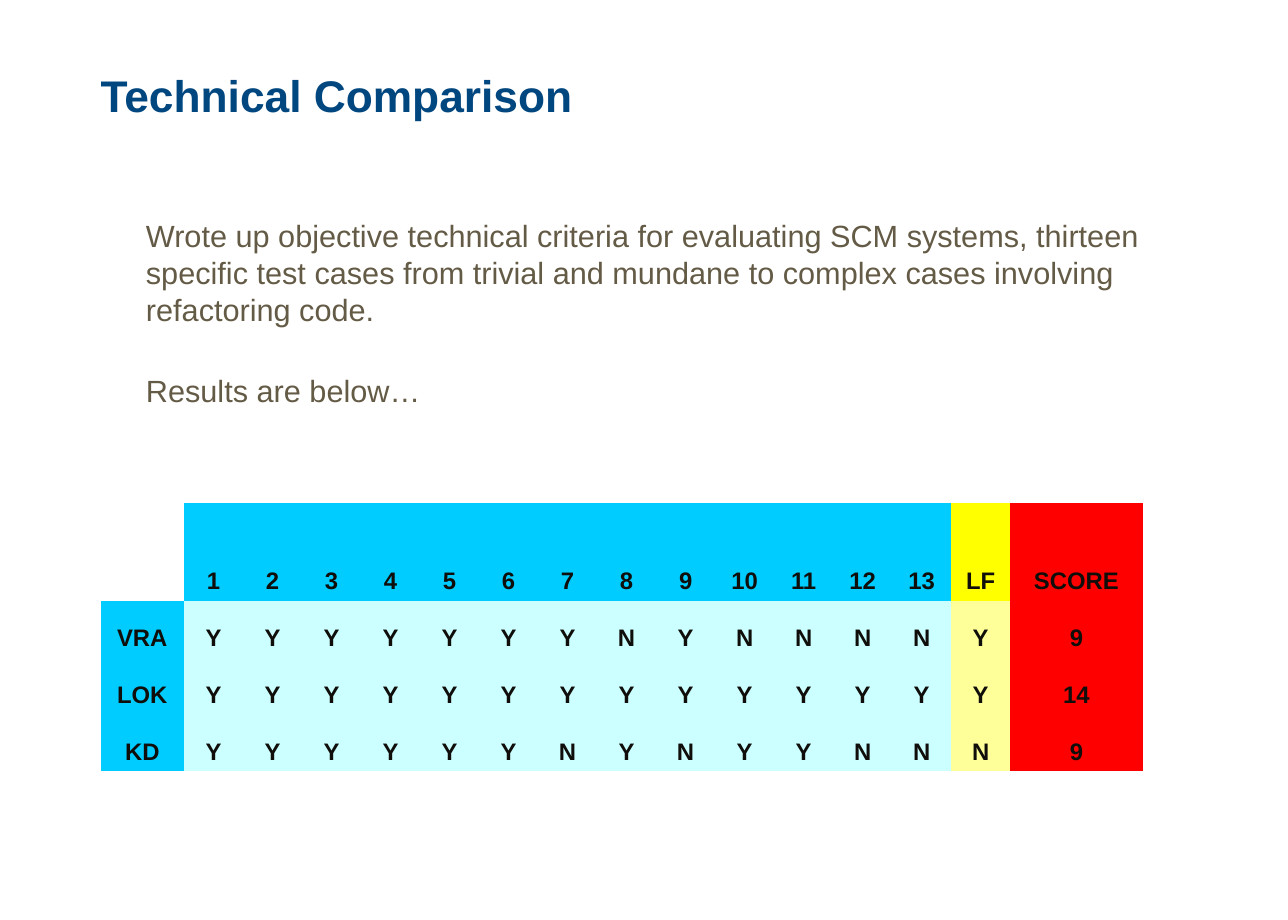
import dataclasses
import typing

import pptx
import pptx.dml.color
import pptx.enum.text
import pptx.util

Inches = pptx.util.Inches
Pt = pptx.util.Pt
RGBColor = pptx.dml.color.RGBColor
Align = pptx.enum.text.PP_ALIGN
Anchor = pptx.enum.text.MSO_ANCHOR

NAVY = RGBColor(0x00, 0x46, 0x7F)
BROWN = RGBColor(0x64, 0x5B, 0x46)
INK = RGBColor(0x0F, 0x0E, 0x0B)
CYAN = RGBColor(0x00, 0xCC, 0xFF)
PALE = RGBColor(0xCC, 0xFF, 0xFF)
YELLOW = RGBColor(0xFF, 0xFF, 0x00)
CREAM = RGBColor(0xFF, 0xFF, 0x99)
RED = RGBColor(0xFF, 0x00, 0x00)

LEFT, WIDTH = Inches(0.82), Inches(8.5)
PLAIN_STYLE = "{2D5ABB26-0587-4C30-8999-92F81FD0307C}"  # no fill, no grid


@dataclasses.dataclass
class Block:
    top: int
    width: int
    height: int
    lines: list[str]
    font: dict[str, typing.Any]
    para: dict[str, typing.Any]
    indent: int = 0
    inset: int = 0


@dataclasses.dataclass
class Tool:
    name: str
    marks: str  # one mark per test case, then the LF mark
    score: int


def apply(target: typing.Any, values: dict[str, typing.Any]) -> None:
    for name, value in values.items():
        setattr(target, name, value)


def write(para: typing.Any, text: str, font: dict, color: RGBColor) -> None:
    run = para.add_run()
    run.text = text
    apply(run.font, {"name": "Arial", **font})
    run.font.color.rgb = color


def draw_block(slide: typing.Any, block: Block, color: RGBColor) -> None:
    box = slide.shapes.add_textbox(LEFT, block.top, block.width, block.height)
    frame = box.text_frame
    apply(frame, {
        "word_wrap": True,
        "margin_left": block.indent, "margin_right": 0,
        "margin_top": block.inset, "margin_bottom": block.inset,
    })
    for index, line in enumerate(block.lines):
        para = frame.add_paragraph() if index else frame.paragraphs[0]
        apply(para, block.para)
        write(para, line, block.font, color)


def pick_fill(row: int, col: int, last: int) -> RGBColor:
    if col == last:
        return RED
    if col == last - 1:
        return CREAM if row else YELLOW
    return PALE if row and col else CYAN


def draw_table(slide: typing.Any, tools: list[Tool]) -> None:
    cases = [str(number) for number in range(1, 14)]
    grid = [["", *cases, "LF", "SCORE"]]
    grid += [[tool.name, *tool.marks, str(tool.score)] for tool in tools]
    last = len(grid[0]) - 1

    height, head = Inches(2.19), Inches(0.8)
    shape = slide.shapes.add_table(
        len(grid), last + 1, LEFT, Inches(4.1), WIDTH, height)
    shape.element.xpath(".//a:tableStyleId")[0].text = PLAIN_STYLE
    table = shape.table
    apply(table, {"first_row": False, "horz_banding": False})

    # The mark columns share what the name and score columns leave
    names, scores = Inches(0.68), Inches(1.08)
    marks = (WIDTH - names - scores) // (last - 1)
    for col, width in enumerate([names] + [marks] * (last - 1) + [scores]):
        table.columns[col].width = width

    for row, texts in enumerate(grid):
        table.rows[row].height = (height - head) // len(tools) if row else head
        for col, text in enumerate(texts):
            cell = table.cell(row, col)
            if not text:
                cell.fill.background()
                continue
            cell.fill.solid()
            cell.fill.fore_color.rgb = pick_fill(row, col, last)
            cell.vertical_anchor = Anchor.BOTTOM
            para = cell.text_frame.paragraphs[0]
            apply(para, {"alignment": Align.CENTER, "line_spacing": Pt(26)})
            write(para, text, {"size": Pt(14), "bold": True}, INK)


deck = pptx.Presentation()
apply(deck, {"slide_width": Inches(10.5), "slide_height": Inches(7.5)})
slide = deck.slides.add_slide(deck.slide_layouts[6])

# Title
title = Block(
    Inches(0.51), Inches(9.45), Inches(0.54), ["Technical Comparison"],
    {"size": Pt(26), "bold": True}, {}, inset=Inches(0.05))
draw_block(slide, title, NAVY)

# Summary
summary = Block(
    Inches(1.77), WIDTH, Inches(2.17),
    ["Wrote up objective technical criteria for evaluating SCM systems, "
     "thirteen specific test cases from trivial and mundane to complex "
     "cases involving refactoring code.",
     "Results are below…"],
    {"size": Pt(18)}, {"space_after": Pt(26)}, indent=Inches(0.37))
draw_block(slide, summary, BROWN)

# Results
draw_table(slide, [
    Tool("VRA", "YYYYYYYNYNNNNY", 9),
    Tool("LOK", "YYYYYYYYYYYYYY", 14),
    Tool("KD", "YYYYYYNYNYYNNN", 9),
])

deck.save("out.pptx")
